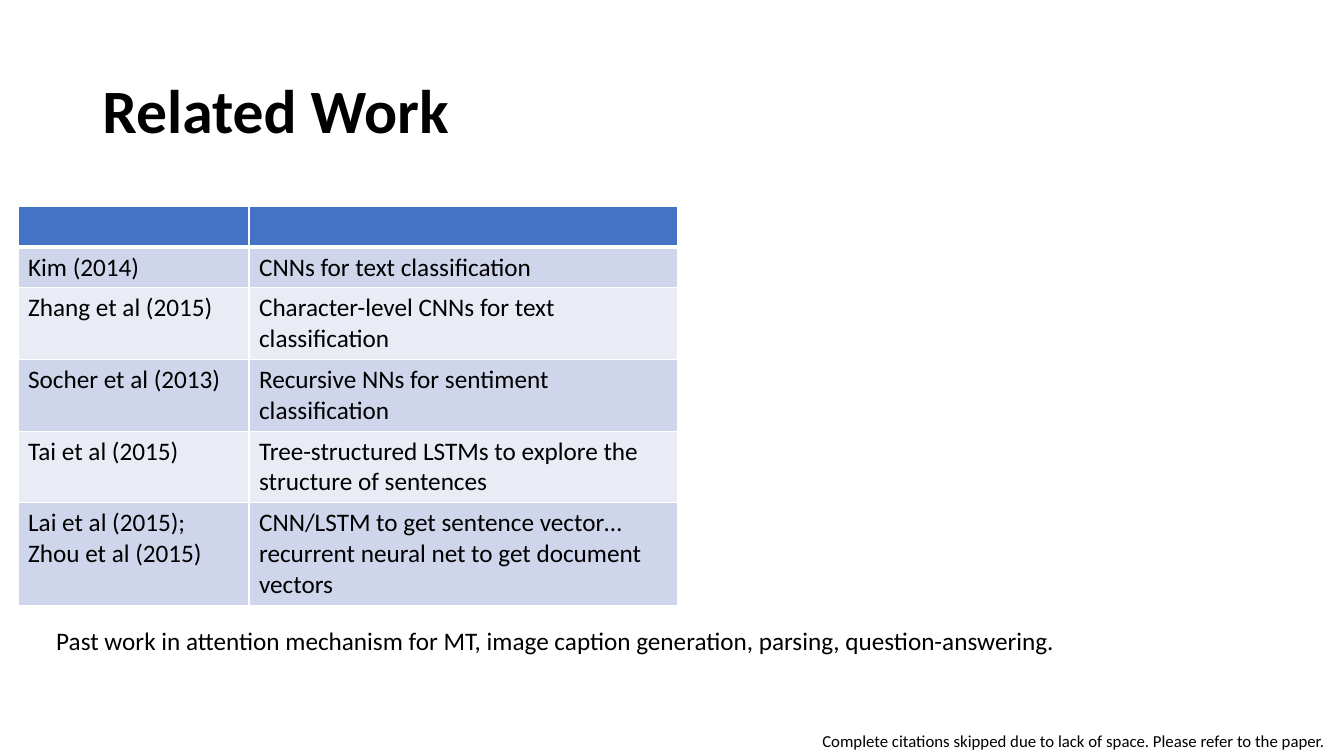
from dataclasses import dataclass

from lxml.etree import SubElement
from pptx import Presentation
from pptx.dml.color import RGBColor
from pptx.enum.text import MSO_ANCHOR, MSO_AUTO_SIZE, PP_ALIGN
from pptx.oxml.ns import qn
from pptx.slide import Slide
from pptx.table import _Cell
from pptx.text.text import TextFrame
from pptx.util import Pt

BLACK = RGBColor(0x00, 0x00, 0x00)
WHITE = RGBColor(0xFF, 0xFF, 0xFF)
HEADER_BLUE = RGBColor(0x44, 0x72, 0xC4)
BAND_DARK = RGBColor(0xCF, 0xD5, 0xEA)
BAND_LIGHT = RGBColor(0xE9, 0xEB, 0xF5)
FONT = "Calibri"

COLUMN_WIDTHS = (165, 306)
HEADER_HEIGHT = 29.2
LINE_HEIGHT = 22  # one line of 18 pt text
CELL_PADDING = 7.2  # top and bottom margins together


@dataclass
class Work:
    authors: str
    topic: str
    lines: int


@dataclass
class Note:
    text: str
    left: float
    top: float
    width: float
    height: float
    size: float
    wrap: bool


WORKS = [
    Work("Kim (2014)", "CNNs for text classification", 1),
    Work("Zhang et al (2015)", "Character-level CNNs for text classification", 2),
    Work("Socher et al (2013)", "Recursive NNs for sentiment classification", 2),
    Work("Tai et al (2015)",
         "Tree-structured LSTMs to explore the structure of sentences", 2),
    Work("Lai et al (2015); Zhou et al (2015)",
         "CNN/LSTM to get sentence vector… recurrent neural net to get document vectors", 3),
]

NOTES = [
    Note("Complete citations skipped due to lack of space. Please refer to the paper.",
         580.3, 518.4, 379.4, 21.6, 12, True),
    Note("Past work in attention mechanism for MT, image caption generation, "
         "parsing, question-answering.", 33.1, 442.8, 745.9, 29.1, 18, False),
]


def write(tf: TextFrame, text: str, size: float, bold: bool = False) -> None:
    p = tf.paragraphs[0]
    p.alignment = PP_ALIGN.LEFT
    target = p.font
    if text:
        r = p.add_run()
        r.text = text
        target = r.font
    for name, value in {"name": FONT, "size": Pt(size), "bold": bold}.items():
        setattr(target, name, value)
    target.color.rgb = BLACK


def format_cell(cell: _Cell, text: str, fill: RGBColor, bottom: float) -> None:
    tcPr = cell._tc.get_or_add_tcPr()
    for side, width in {"lnL": 1, "lnR": 1, "lnT": 1, "lnB": bottom}.items():
        ln = SubElement(tcPr, qn(f"a:{side}"), w=str(Pt(width)))
        SubElement(SubElement(ln, qn("a:solidFill")), qn("a:srgbClr"), val=str(WHITE))
    cell.fill.solid()
    cell.fill.fore_color.rgb = fill
    write(cell.text_frame, text, 18)


def add_title(s: Slide, text: str) -> None:
    sp = s.shapes.title
    box = {"left": 66, "top": 28.75, "width": 828, "height": 104.4}
    for name, value in box.items():
        setattr(sp, name, Pt(value))
    tf = sp.text_frame
    tf.vertical_anchor = MSO_ANCHOR.MIDDLE
    write(tf, text, 44, bold=True)
    tf.paragraphs[0].line_spacing = 0.9


def add_works_table(s: Slide, works: list[Work]) -> None:
    heights = [HEADER_HEIGHT] + [w.lines * LINE_HEIGHT + CELL_PADDING for w in works]
    table = s.shapes.add_table(len(heights), len(COLUMN_WIDTHS), Pt(12.9), Pt(147.2),
                               Pt(sum(COLUMN_WIDTHS)), Pt(sum(heights))).table
    for column, width in zip(table.columns, COLUMN_WIDTHS):
        column.width = Pt(width)
    for row, height in zip(table.rows, heights):
        row.height = Pt(height)
    for cell in table.rows[0].cells:
        format_cell(cell, "", HEADER_BLUE, 3)
    for i, work in enumerate(works, start=1):
        band = BAND_DARK if i % 2 else BAND_LIGHT
        for cell, text in zip(table.rows[i].cells, (work.authors, work.topic)):
            format_cell(cell, text, band, 1)


def add_note(s: Slide, note: Note) -> None:
    sp = s.shapes.add_textbox(Pt(note.left), Pt(note.top), Pt(note.width), Pt(note.height))
    tf = sp.text_frame
    tf.word_wrap = note.wrap
    tf.auto_size = MSO_AUTO_SIZE.SHAPE_TO_FIT_TEXT
    write(tf, note.text, note.size)


def main() -> None:
    prs = Presentation()
    prs.slide_width, prs.slide_height = Pt(960), Pt(540)
    s = prs.slides.add_slide(prs.slide_layouts[5])

    # Title
    add_title(s, "Related Work")

    # Remarks below the table and in the corner
    for note in NOTES:
        add_note(s, note)

    # Table of earlier papers
    add_works_table(s, WORKS)

    prs.save("out.pptx")


if __name__ == "__main__":
    main()
